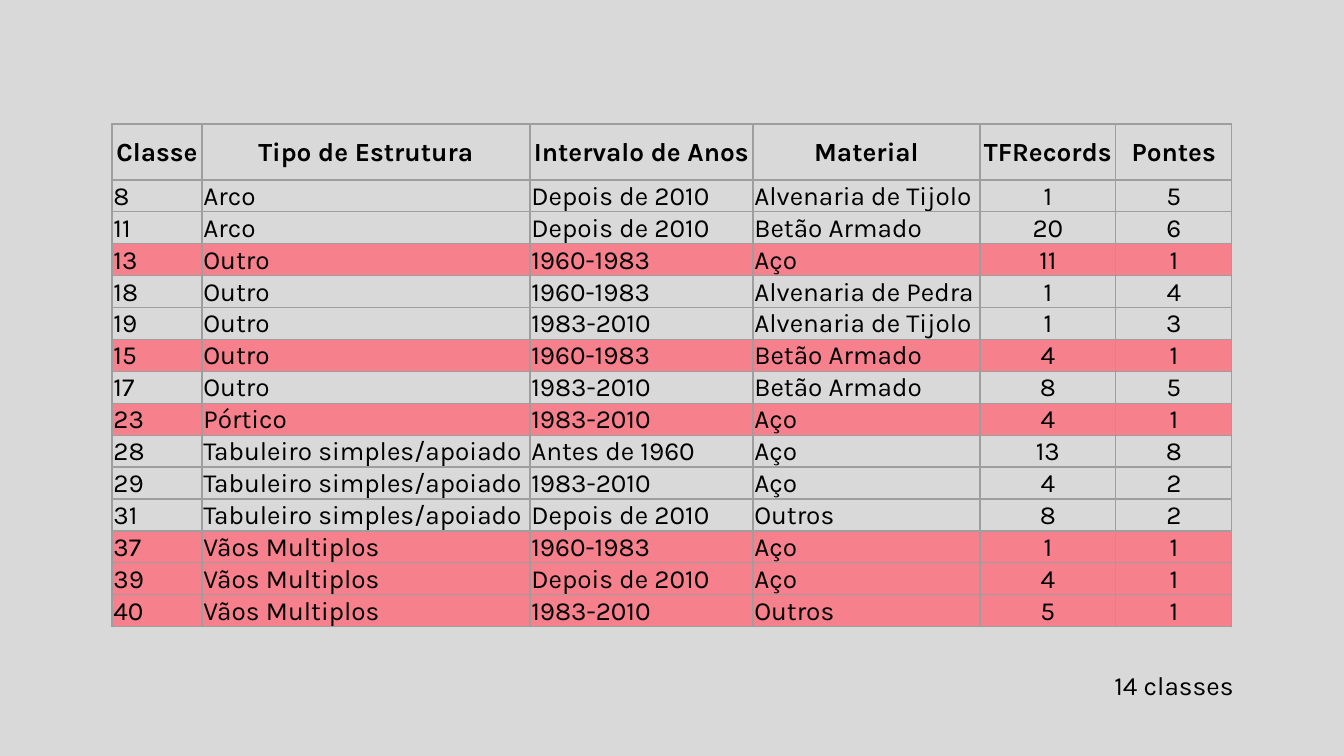
from dataclasses import dataclass

from lxml import etree
from pptx import Presentation
from pptx.dml.color import RGBColor
from pptx.enum.text import MSO_ANCHOR, MSO_AUTO_SIZE, PP_ALIGN
from pptx.oxml.ns import qn
from pptx.util import Emu, Pt

LEFT, CENTER = PP_ALIGN.LEFT, PP_ALIGN.CENTER
MIDDLE = MSO_ANCHOR.MIDDLE
GROW = MSO_AUTO_SIZE.SHAPE_TO_FIT_TEXT

SLIDE_W, SLIDE_H = 1344, 756
SCALE = 9144000 / SLIDE_W


@dataclass(frozen=True)
class Theme:
    font: str = "Karla"
    size: int = 14
    text: str = "000000"
    background: str = "D9D9D9"
    highlight: str = "F6808C"
    border: str = "9E9E9E"
    line: float = 0.75
    inset: float = 0.75


THEME = Theme()

HEADER = ("Classe", "Tipo de Estrutura", "Intervalo de Anos", "Material", "TFRecords", "Pontes")
CLASSES = (
    (8, "Arco", "Depois de 2010", "Alvenaria de Tijolo", 1, 5),
    (11, "Arco", "Depois de 2010", "Betão Armado", 20, 6),
    (13, "Outro", "1960-1983", "Aço", 11, 1),
    (18, "Outro", "1960-1983", "Alvenaria de Pedra", 1, 4),
    (19, "Outro", "1983-2010", "Alvenaria de Tijolo", 1, 3),
    (15, "Outro", "1960-1983", "Betão Armado", 4, 1),
    (17, "Outro", "1983-2010", "Betão Armado", 8, 5),
    (23, "Pórtico", "1983-2010", "Aço", 4, 1),
    (28, "Tabuleiro simples/apoiado", "Antes de 1960", "Aço", 13, 8),
    (29, "Tabuleiro simples/apoiado", "1983-2010", "Aço", 4, 2),
    (31, "Tabuleiro simples/apoiado", "Depois de 2010", "Outros", 8, 2),
    (37, "Vãos Multiplos", "1960-1983", "Aço", 1, 1),
    (39, "Vãos Multiplos", "Depois de 2010", "Aço", 4, 1),
    (40, "Vãos Multiplos", "1983-2010", "Outros", 5, 1),
)
COL_WIDTHS = (90, 328, 223, 227, 136, 116)
HEADER_H, ROW_H = 56, 27
FIRST_COUNT_COL = 4


def px(n):
    return Emu(round(n * SCALE))


def set_text(tf, text, align=LEFT, bold=False):
    p = tf.paragraphs[0]
    p.text = text
    p.alignment = align
    p.font.name = THEME.font
    p.font.size = Pt(THEME.size)
    p.font.bold = bold
    p.font.color.rgb = RGBColor.from_string(THEME.text)


def set_borders(cell):
    tc_pr = cell._tc.get_or_add_tcPr()
    for side in ("lnL", "lnR", "lnT", "lnB"):
        ln = etree.SubElement(tc_pr, qn(f"a:{side}"), w=str(Pt(THEME.line)))
        fill = etree.SubElement(ln, qn("a:solidFill"))
        etree.SubElement(fill, qn("a:srgbClr"), val=THEME.border)


def format_cell(cell, text, align, bold, highlighted):
    cell.margin_left = cell.margin_right = cell.margin_top = Pt(THEME.inset)
    cell.margin_bottom = 0
    cell.vertical_anchor = MIDDLE
    set_text(cell.text_frame, text, align, bold)
    set_borders(cell)
    if highlighted:
        cell.fill.solid()
        cell.fill.fore_color.rgb = RGBColor.from_string(THEME.highlight)
    else:
        cell.fill.background()


def add_class_table(s, x, y, w, h):
    rows = (HEADER,) + CLASSES
    frame = s.shapes.add_table(len(rows), len(HEADER), px(x), px(y), px(w), px(h))
    table = frame.table
    table.first_row = table.horz_banding = False
    for column, width in zip(table.columns, COL_WIDTHS):
        column.width = px(width * w / sum(COL_WIDTHS))
    for r, values in enumerate(rows):
        is_header = r == 0
        table.rows[r].height = px(HEADER_H if is_header else ROW_H)
        single_bridge = values[-1] == 1
        for c, value in enumerate(values):
            align = CENTER if is_header or c >= FIRST_COUNT_COL else LEFT
            format_cell(table.cell(r, c), str(value), align, is_header, single_bridge)
    frame.height = px(h)


def add_class_count(s, x, y, w, h):
    sp = s.shapes.add_textbox(px(x), px(y), px(w), px(h))
    tf = sp.text_frame
    tf.word_wrap = True
    tf.auto_size = GROW
    set_text(tf, f"{len(CLASSES)} classes")


def main():
    prs = Presentation()
    prs.slide_width, prs.slide_height = px(SLIDE_W), px(SLIDE_H)
    s = prs.slides.add_slide(prs.slide_layouts[6])
    s.background.fill.solid()
    s.background.fill.fore_color.rgb = RGBColor.from_string(THEME.background)
    add_class_table(s, 112, 124, 1120, 508)
    add_class_count(s, 1101, 663, 173, 46)
    prs.save("out.pptx")


if __name__ == "__main__":
    main()
